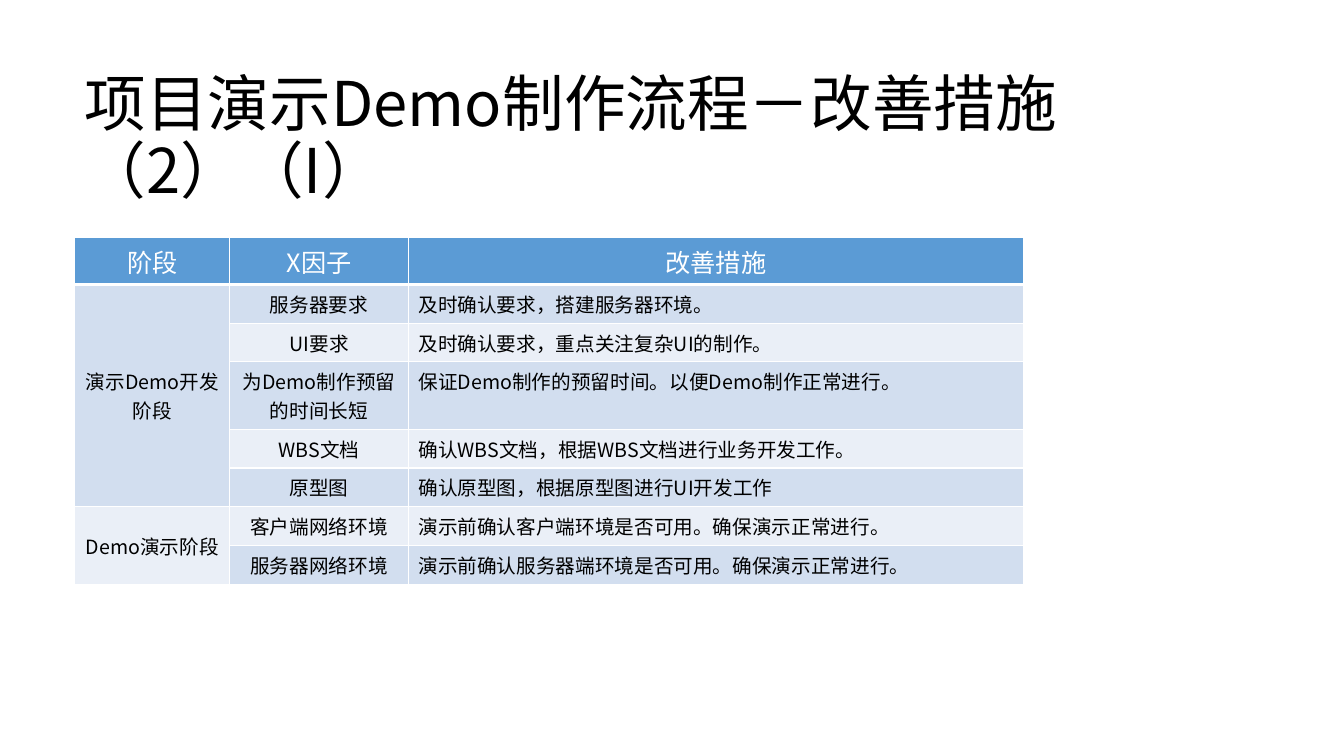
"""Build a slide with a table of improvement measures for each demo stage."""
from lxml.etree import SubElement
from pptx import Presentation
from pptx.dml.color import RGBColor
from pptx.enum.text import MSO_ANCHOR, MSO_AUTO_SIZE, PP_ALIGN
from pptx.oxml.ns import qn
from pptx.util import Inches, Pt

TITLE = "项目演示Demo制作流程－改善措施（2）（I）"
HEADER = ("阶段", "X因子", "改善措施")
STAGES = [
    ("演示Demo开发阶段", [
        ("服务器要求", "及时确认要求，搭建服务器环境。"),
        ("UI要求", "及时确认要求，重点关注复杂UI的制作。"),
        ("为Demo制作预留的时间长短", "保证Demo制作的预留时间。以便Demo制作正常进行。"),
        ("WBS文档", "确认WBS文档，根据WBS文档进行业务开发工作。"),
        ("原型图", "确认原型图，根据原型图进行UI开发工作"),
    ]),
    ("Demo演示阶段", [
        ("客户端网络环境", "演示前确认客户端环境是否可用。确保演示正常进行。"),
        ("服务器网络环境", "演示前确认服务器端环境是否可用。确保演示正常进行。"),
    ]),
]
COLS = (1.54, 1.77, 6.1)
ROWS = (0.46, 0.38, 0.38, 0.67, 0.38, 0.38, 0.38, 0.38)
THEME = {
    "font": "Noto Sans CJK SC", "title": 44, "head": 18, "body": 14,
    "text": "000000", "white": "FFFFFF", "header": "5B9BD5",
    "bands": ("EAEFF7", "D2DEEF"),
}


def put_text(tf, text, size, color=THEME["text"], align=PP_ALIGN.LEFT, spacing=None):
    p = tf.paragraphs[0]
    p.alignment = align
    p.line_spacing = spacing
    r = p.add_run()
    r.text = text
    r.font.size = Pt(size)
    r.font.bold = False
    r.font.name = THEME["font"]
    r.font.color.rgb = RGBColor.from_string(color)
    SubElement(r.font._element, qn("a:ea"), typeface=THEME["font"])


def style_cell(cell, fill, bottom=1):
    tcPr = cell._tc.get_or_add_tcPr()
    for side, width in (("L", 1), ("R", 1), ("T", 1), ("B", bottom)):
        ln = SubElement(tcPr, qn(f"a:ln{side}"), w=str(Pt(width)))
        SubElement(SubElement(ln, qn("a:solidFill")), qn("a:srgbClr"), val=THEME["white"])
    cell.fill.solid()
    cell.fill.fore_color.rgb = RGBColor.from_string(fill)


def add_title(s):
    title = s.shapes.title
    title.left, title.top = Inches(0.74), Inches(0.67)
    title.width, title.height = Inches(10.3), Inches(1.44)
    tf = title.text_frame
    tf.word_wrap = True
    tf.auto_size = MSO_AUTO_SIZE.NONE
    tf.vertical_anchor = MSO_ANCHOR.MIDDLE
    put_text(tf, TITLE, THEME["title"], spacing=0.9)


def add_measures(s):
    frame = s.shapes.add_table(len(ROWS), len(COLS), Inches(0.74), Inches(2.36),
                               Inches(sum(COLS)), Inches(sum(ROWS)))
    table = frame.table
    for col, width in zip(table.columns, COLS):
        col.width = Inches(width)
    for i, (row, height) in enumerate(zip(table.rows, ROWS)):
        row.height = Inches(height)
        for cell in row.cells:
            if i == 0:
                style_cell(cell, THEME["header"], bottom=3)
            else:
                style_cell(cell, THEME["bands"][i % 2])
    for c, text in enumerate(HEADER):
        put_text(table.cell(0, c).text_frame, text, THEME["head"],
                 color=THEME["white"], align=PP_ALIGN.CENTER)
    top = 1
    for stage, measures in STAGES:
        cell = table.cell(top, 0)
        cell.merge(table.cell(top + len(measures) - 1, 0))
        cell.vertical_anchor = MSO_ANCHOR.MIDDLE
        put_text(cell.text_frame, stage, THEME["body"], align=PP_ALIGN.CENTER)
        for i, (factor, measure) in enumerate(measures, top):
            put_text(table.cell(i, 1).text_frame, factor, THEME["body"], align=PP_ALIGN.CENTER)
            put_text(table.cell(i, 2).text_frame, measure, THEME["body"])
        top += len(measures)


def main():
    prs = Presentation()
    prs.slide_width, prs.slide_height = Inches(13.33), Inches(7.5)
    s = prs.slides.add_slide(prs.slide_layouts[5])
    add_title(s)
    add_measures(s)
    prs.save("out.pptx")


if __name__ == "__main__":
    main()
